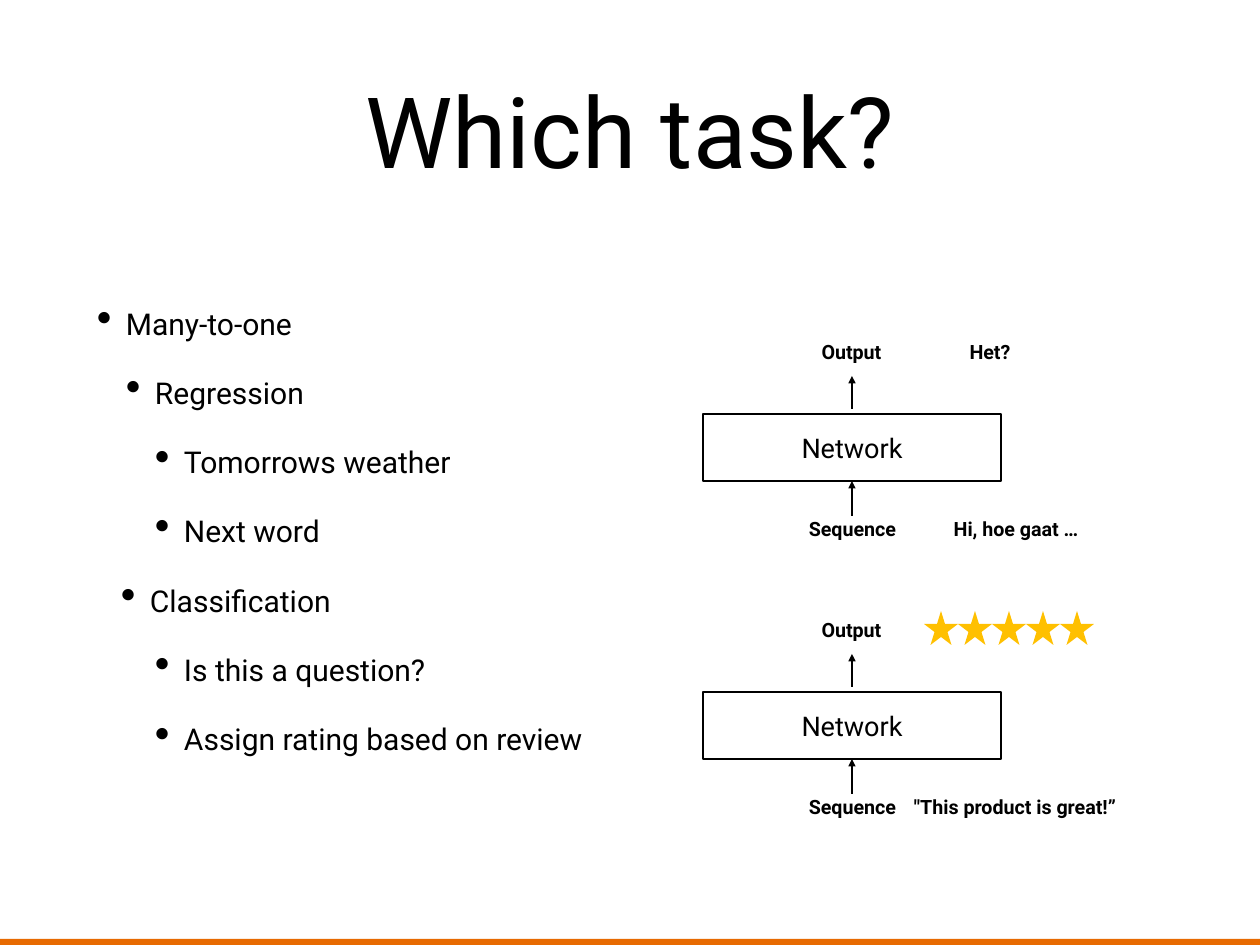
from lxml import etree
from pptx import Presentation
from pptx import util as u
from pptx.dml.color import RGBColor
from pptx.enum import shapes, text
from pptx.oxml.ns import qn

EMU_PER_PX = 10321
FONT = "Roboto"
BLACK, WHITE, ORANGE, GOLD = "000000", "FFFFFF", "E76A01", "FFC000"
NETWORK_LEFT, NETWORK_WIDTH, NETWORK_HEIGHT = 703, 298, 67
NETWORK_MIDDLE = NETWORK_LEFT + NETWORK_WIDTH // 2
STAR_SIZE = 34

# Outline level, left margin in px, wording
TASKS = [
    (0, 29, "Many-to-one"),
    (1, 58, "Regression"),
    (2, 87, "Tomorrows weather"),
    (2, 87, "Next word"),
    (1, 53, "Classification"),
    (2, 87, "Is this a question?"),
    (2, 87, "Assign rating based on review"),
]


def px(length):
    return u.Emu(length * EMU_PER_PX)


def color(hex_string):
    return RGBColor.from_string(hex_string)


def write(shape, wording, size, bold=False, align=text.PP_ALIGN.CENTER):
    frame = shape.text_frame
    frame.text = wording
    frame.word_wrap = True
    frame.vertical_anchor = text.MSO_ANCHOR.MIDDLE
    frame.margin_left = frame.margin_right = px(5)
    frame.margin_top = frame.margin_bottom = px(5)
    for paragraph in frame.paragraphs:
        paragraph.alignment = align
        for run in paragraph.runs:
            run.font.name = FONT
            run.font.size = u.Pt(size)
            run.font.bold = bold
            run.font.color.rgb = color(BLACK)


def add_text(slide, box, wording, size, **style):
    shape = slide.shapes.add_textbox(*map(px, box))
    write(shape, wording, size, **style)
    return shape


def add_label(slide, box, wording):
    """Add a bold one-line text whose box grows with it."""
    frame = add_text(slide, box, wording, 16, bold=True).text_frame
    frame.word_wrap = False
    frame.auto_size = text.MSO_AUTO_SIZE.SHAPE_TO_FIT_TEXT


def add_filled(slide, kind, box, fill, outline=None):
    shape = slide.shapes.add_shape(kind, *map(px, box))
    shape.shadow.inherit = False
    shape.fill.solid()
    shape.fill.fore_color.rgb = color(fill)
    if outline:
        shape.line.color.rgb = color(outline)
        shape.line.width = u.Pt(2)
    else:
        shape.line.fill.background()
    return shape


def add_up_arrow(slide, x, start, end):
    arrow = slide.shapes.add_connector(
        shapes.MSO_CONNECTOR.STRAIGHT, px(x), px(start), px(x), px(end))
    arrow.line.color.rgb = color(BLACK)
    arrow.line.width = u.Pt(2)
    properties = arrow.element.spPr
    etree.SubElement(properties.find(qn("a:ln")), qn("a:tailEnd"), type="triangle")
    etree.SubElement(properties, qn("a:effectLst"))
    return arrow


def add_task_list(slide):
    wording = "\n".join(task for _, _, task in TASKS)
    body = add_text(slide, (92, 202, 517, 658), wording, 24.4,
                    align=text.PP_ALIGN.LEFT)
    for paragraph, (level, margin, _) in zip(body.text_frame.paragraphs, TASKS):
        paragraph.level = level
        paragraph.space_before = u.Pt(27)
        properties = paragraph._p.get_or_add_pPr()
        properties.set("marL", str(px(margin)))
        properties.set("indent", str(px(-29)))
        etree.SubElement(properties, qn("a:buSzPct"), val="145000")
        etree.SubElement(properties, qn("a:buChar"), char="•")


def add_network(slide, top):
    """Add a network box with its input below and its output above."""
    bottom = top + NETWORK_HEIGHT
    add_label(slide, (800, bottom + 31, 105, 33), "Sequence")
    network = add_filled(
        slide, shapes.MSO_SHAPE.RECTANGLE,
        (NETWORK_LEFT, top, NETWORK_WIDTH, NETWORK_HEIGHT), WHITE, BLACK)
    write(network, "Network", 22)
    add_up_arrow(slide, NETWORK_MIDDLE, bottom + 35, bottom).end_connect(network, 2)
    add_up_arrow(slide, NETWORK_MIDDLE, top - 5, top - 38)
    add_label(slide, (814, top - 79, 75, 33), "Output")


def add_rating(slide, left, top, count):
    for index in range(count):
        add_filled(slide, shapes.MSO_SHAPE.STAR_5_POINT,
                   (left + index * STAR_SIZE, top, STAR_SIZE, STAR_SIZE), GOLD)


def main():
    presentation = Presentation()
    presentation.slide_width, presentation.slide_height = px(1260), px(945)
    slide = presentation.slides.add_slide(presentation.slide_layouts[6])

    add_filled(slide, shapes.MSO_SHAPE.RECTANGLE, (0, 939, 1260, 6), ORANGE)
    add_text(slide, (92, 25, 1076, 209), "Which task?", 80)
    add_task_list(slide)

    add_network(slide, 414)
    add_label(slide, (942, 512, 148, 33), "Hi, hoe gaat …")
    add_label(slide, (963, 335, 54, 33), "Het?")

    add_network(slide, 692)
    add_label(slide, (899, 790, 232, 33), "\"This product is great!”")
    add_rating(slide, 924, 611, 5)

    presentation.save("out.pptx")


if __name__ == "__main__":
    main()
